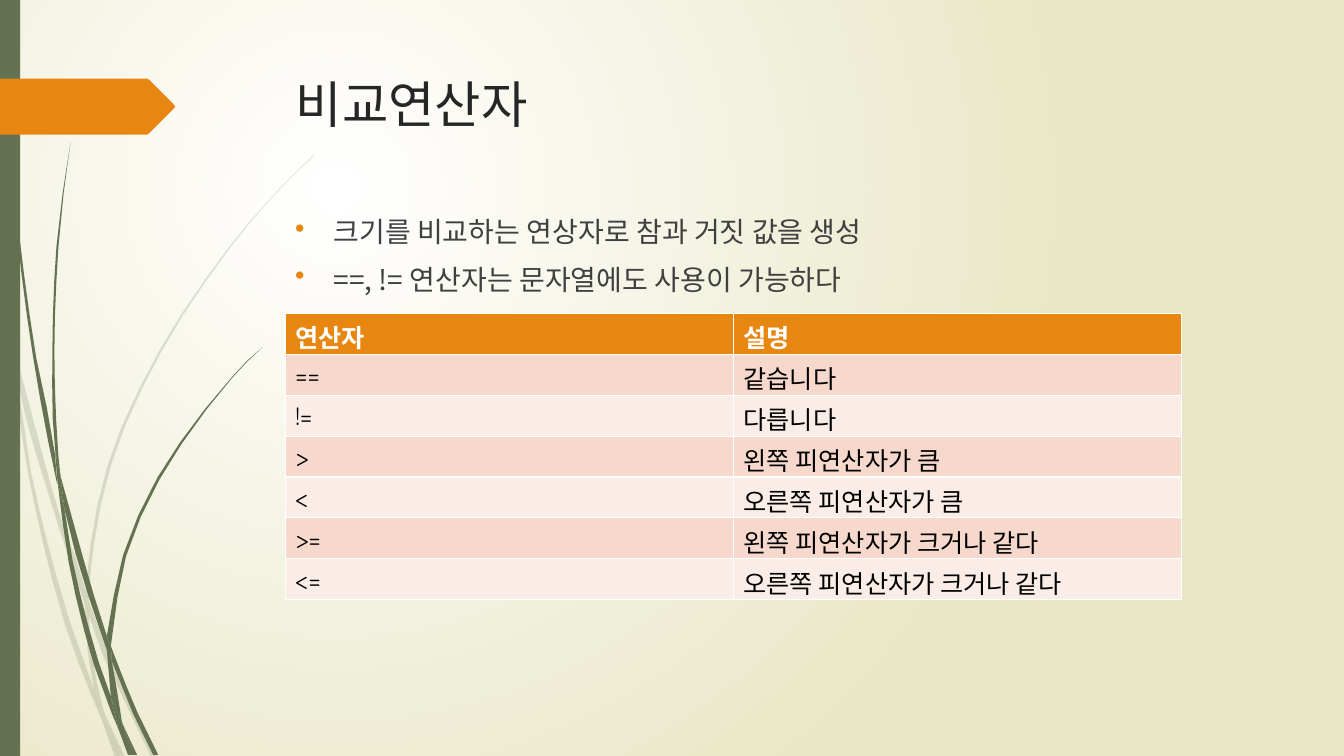
import math

import lxml.etree
import pptx
import pptx.dml.color
import pptx.enum.shapes
import pptx.oxml.ns
import pptx.util

RGB = pptx.dml.color.RGBColor
WHITE = RGB(0xFF, 0xFF, 0xFF)
BLACK = RGB(0, 0, 0)
SAND = RGB(0xE8, 0xE6, 0xC4)
MOSS = RGB(0x64, 0x72, 0x52)
ORANGE = RGB(0xE7, 0x87, 0x12)
TITLE_INK = RGB(0x26, 0x26, 0x26)
BODY_INK = RGB(0x40, 0x40, 0x40)
BANDS = (RGB(0xF6, 0xD9, 0xCC), RGB(0xFA, 0xED, 0xE7))
HANGUL_FONT = "Noto Sans CJK KR"
TABLE_FONT = "Quicksand"
WIDTH, HEIGHT = pptx.util.Inches(13.33), pptx.util.Inches(7.5)
STEP_LENGTH = 0.4
SMOOTH_TURN = 0.85

PALE_BLADES = [
    [(0.11, 3.5), (0.09, 3.22), (0, 2.82), (0, 2.99), (0.1, 3.44)],
    [(0.58, 5.22), (0.84, 5.99), (0.85, 5.86), (0.62, 5.2), (0.14, 3.45), (0.17, 3.76)],
    [(0.92, 6.07), (0.88, 5.96), (0.88, 6.1), (1.23, 6.94), (1.5, 7.51), (1.55, 7.51), (1.27, 6.92)],
    [(1.19, 7.51), (1.24, 7.51), (1.05, 7.11)],
    [(0.93, 6.83), (0.7, 6.19), (0.31, 4.69), (0.17, 3.76), (0.11, 3.5), (0.28, 4.7),
     (0.65, 6.21), (0.92, 6.93), (1.01, 7.14), (0.99, 7.07)],
    [(0.84, 5.99), (0.87, 6.46), (0.93, 6.83), (0.96, 6.92), (1.05, 7.11), (1.03, 7.06),
     (0.91, 6.46), (0.88, 6.1), (0.88, 6.08)],
    [(0.88, 5.84), (1.1, 4.62), (1.6, 3.49), (2.29, 2.45), (2.68, 1.98), (2.9, 1.75),
     (3.12, 1.54), (3.12, 1.53), (2.89, 1.75), (2.68, 1.97), (2.28, 2.44), (1.58, 3.48),
     (1.07, 4.61), (0.85, 5.84), (0.85, 5.86), (0.88, 5.96)],
    [(1.01, 7.14), (1.14, 7.51), (1.19, 7.51)],
    [(0.88, 6.08), (0.88, 6.1), (0.88, 5.96), (0.85, 5.86), (0.84, 5.99)],
    [(0.96, 6.92), (0.93, 6.83), (0.99, 7.07), (1.01, 7.14), (1.19, 7.51), (1.05, 7.11)],
]
DARK_BLADES = [
    [(0.07, 1.1), (0.17, 2.33), (0.33, 3.55), (0.56, 4.77), (0.57, 4.81), (0.55, 4.57),
     (0.55, 4.53), (0.36, 3.55), (0.19, 2.32), (0.08, 1.09), (0.05, 0.48), (0.04, 0),
     (0.03, 0), (0.04, 0.48)],
    [(0.88, 5.92), (1.06, 6.45), (1.06, 6.31), (0.93, 5.9), (0.6, 4.72), (0.64, 5.05)],
    [(1.13, 6.49), (1.1, 6.41), (1.11, 6.56), (1.32, 7.08), (1.52, 7.49), (1.57, 7.49), (1.36, 7.06)],
    [(1.1, 6.91), (0.98, 6.57), (0.72, 5.56), (0.64, 5.05), (0.57, 4.77), (0.68, 5.57),
     (0.93, 6.59), (1.11, 7.08), (1.17, 7.22), (1.16, 7.17)],
    [(0.6, 4.72), (0.58, 4.53), (0.54, 3.49), (0.58, 2.45), (0.63, 1.93), (0.7, 1.41),
     (0.62, 1.93), (0.56, 2.45), (0.52, 3.49), (0.55, 4.49)],
    [(1.33, 7.49), (1.36, 7.49), (1.22, 7.19)],
    [(0.57, 4.77), (0.64, 5.05), (0.6, 4.72), (0.55, 4.49), (0.55, 4.53)],
    [(1.11, 6.33), (1.25, 5.52), (1.58, 4.76), (2.05, 4.06), (2.31, 3.74), (2.45, 3.59),
     (2.61, 3.44), (2.45, 3.58), (2.31, 3.73), (2.04, 4.05), (1.56, 4.74), (1.22, 5.51),
     (1.06, 6.31), (1.1, 6.41)],
    [(1.17, 7.22), (1.27, 7.49), (1.31, 7.49)],
    [(1.06, 6.45), (1.1, 6.91), (1.16, 7.06), (1.22, 7.19), (1.21, 7.16), (1.11, 6.56), (1.09, 6.51)],
    [(1.06, 6.45), (1.09, 6.51), (1.11, 6.56), (1.1, 6.41), (1.06, 6.31)],
    [(1.16, 7.06), (1.1, 6.91), (1.16, 7.17), (1.17, 7.22), (1.3, 7.49), (1.33, 7.49), (1.22, 7.19)],
]
TAG_OUTLINE = [(0, 0), (0.84, 0), (0.85, 0.02), (0.99, 0.46), (1, 0.5), (0.99, 0.54),
               (0.85, 0.98), (0.84, 1), (0, 1)]
TITLE = "비교연산자"
POINTS = ["크기를 비교하는 연상자로 참과 거짓 값을 생성", "==, != 연산자는 문자열에도 사용이 가능하다"]
OPERATORS = [("연산자", "설명"), ("==", "같습니다"), ("!=", "다릅니다"),
             (">", "왼쪽 피연산자가 큼"), ("<", "오른쪽 피연산자가 큼"),
             (">=", "왼쪽 피연산자가 크거나 같다"), ("<=", "오른쪽 피연산자가 크거나 같다")]


def percent_box(left, top, width, height):
    return tuple(round(share * side / 100) for share, side in
                 zip((left, top, width, height), (WIDTH, HEIGHT, WIDTH, HEIGHT)))


def paint(shape, color, opacity=100):
    shape.shadow.inherit = False
    shape.fill.solid()
    shape.fill.fore_color.rgb = color
    shape.line.fill.background()
    if opacity < 100:
        tint = shape._element.spPr.find(".//" + pptx.oxml.ns.qn("a:srgbClr"))
        lxml.etree.SubElement(tint, pptx.oxml.ns.qn("a:alpha"), val=str(opacity * 1000))


def heading(start, end):
    length = math.dist(start, end)
    return (end[0] - start[0]) / length, (end[1] - start[1]) / length


def smooth_outline(corners):
    count = len(corners)
    edges = [heading(corners[i], corners[(i + 1) % count]) for i in range(count)]

    def tangent(corner, edge):
        before, after = edges[corner - 1], edges[corner]
        turn = before[0] * after[0] + before[1] * after[1]
        if turn < SMOOTH_TURN:
            return edges[edge]
        return heading((0, 0), (before[0] + after[0], before[1] + after[1]))

    outline = []
    for i, start in enumerate(corners):
        following = (i + 1) % count
        end = corners[following]
        length = math.dist(start, end)
        reach = length / 3
        leave, arrive = tangent(i, i), tangent(following, i)
        steps = max(1, round(length / STEP_LENGTH))
        for step in range(steps):
            t = step / steps
            u = 1 - t
            outline.append(tuple(
                u ** 3 * a + 3 * u * u * t * (a + reach * out)
                + 3 * u * t * t * (b - reach * into) + t ** 3 * b
                for a, b, out, into in zip(start, end, leave, arrive)))
    return outline


def add_outline(slide, outline, left, top, x_unit, y_unit):
    places = [(left + x * x_unit, top + y * y_unit) for x, y in outline]
    builder = slide.shapes.build_freeform(*places[0])
    builder.add_line_segments(places[1:], close=True)
    return builder.convert_to_shape()


def add_background(slide):
    fill = slide.background.fill
    fill.gradient()
    for stop, color in zip(fill.gradient_stops, (WHITE, SAND)):
        stop.color.rgb = color
    gradient = slide._element.find(".//" + pptx.oxml.ns.qn("a:gradFill"))
    gradient.remove(gradient.find(pptx.oxml.ns.qn("a:lin")))
    circle = lxml.etree.SubElement(gradient, pptx.oxml.ns.qn("a:path"), path="circle")
    lxml.etree.SubElement(circle, pptx.oxml.ns.qn("a:fillToRect"),
                          l="50000", t="50000", r="100000", b="100000")


def add_grass(slide, box):
    left, top, _, height = box
    unit = height / 7.5
    for blades, opacity in ((PALE_BLADES, 20), (DARK_BLADES, 100)):
        for blade in blades:
            paint(add_outline(slide, smooth_outline(blade), left, top, unit, unit), MOSS, opacity)


def add_side_bar(slide, box):
    paint(slide.shapes.add_shape(pptx.enum.shapes.MSO_SHAPE.RECTANGLE, *box), MOSS)


def add_tag(slide, box):
    paint(add_outline(slide, TAG_OUTLINE, *box), ORANGE)


def add_lines(slide, box, lines, size, color, bulleted=False):
    frame = slide.shapes.add_textbox(*box).text_frame
    frame.word_wrap = True
    for i, line in enumerate(lines):
        paragraph = frame.paragraphs[0] if i == 0 else frame.add_paragraph()
        paragraph.text = line
        if bulleted:
            properties = paragraph._p.get_or_add_pPr()
            indent = pptx.util.Inches(0.38)
            properties.set("marL", str(indent))
            properties.set("indent", str(-indent))
            tint = lxml.etree.SubElement(properties, pptx.oxml.ns.qn("a:buClr"))
            lxml.etree.SubElement(tint, pptx.oxml.ns.qn("a:srgbClr"), val=str(ORANGE))
            lxml.etree.SubElement(properties, pptx.oxml.ns.qn("a:buChar"), char="•")
        if i:
            paragraph.space_before = pptx.util.Pt(10)
        paragraph.font.name = HANGUL_FONT
        paragraph.font.size = pptx.util.Pt(size)
        paragraph.font.color.rgb = color


def add_operator_table(slide, box):
    table = slide.shapes.add_table(len(OPERATORS), len(OPERATORS[0]), *box).table
    for r, row in enumerate(OPERATORS):
        for c, wording in enumerate(row):
            cell = table.cell(r, c)
            cell.text = wording
            cell.fill.solid()
            cell.fill.fore_color.rgb = BANDS[(r - 1) % 2] if r else ORANGE
            font = cell.text_frame.paragraphs[0].font
            font.name = TABLE_FONT
            font.size = pptx.util.Pt(18)
            font.bold = r == 0
            font.color.rgb = BLACK if r else WHITE


def main():
    deck = pptx.Presentation()
    deck.slide_width, deck.slide_height = WIDTH, HEIGHT
    slide = deck.slides.add_slide(deck.slide_layouts[6])
    add_background(slide)
    add_grass(slide, percent_box(0, 0, 23.4, 100))
    add_side_bar(slide, percent_box(0, 0, 1.5, 100))
    add_tag(slide, percent_box(0, 10.4, 13.05, 7.4))
    add_lines(slide, percent_box(21.27, 9.07, 73.14, 18.67), [TITLE], 36, TITLE_INK)
    add_lines(slide, percent_box(21.23, 27.73, 73.14, 58.4), POINTS, 20, BODY_INK, True)
    add_operator_table(slide, percent_box(21.23, 41.47, 66.69, 37.87))
    deck.save("out.pptx")


if __name__ == "__main__":
    main()
